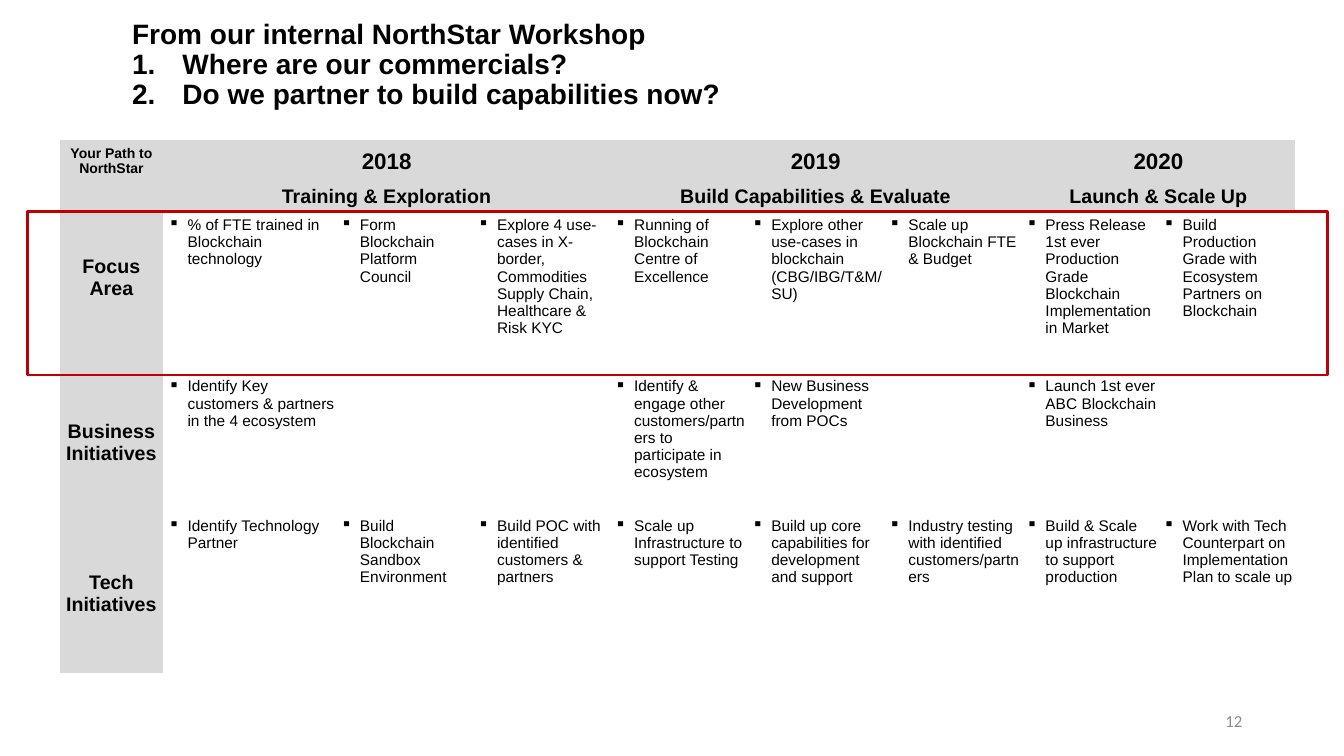
from dataclasses import dataclass

from lxml.etree import SubElement
from pptx import Presentation
from pptx.dml.color import RGBColor
from pptx.enum.shapes import MSO_SHAPE
from pptx.enum.text import MSO_ANCHOR, MSO_AUTO_SIZE, PP_ALIGN
from pptx.oxml.ns import qn
from pptx.util import Inches, Pt


@dataclass(frozen=True)
class Theme:
    font: str = "Arial"
    number_font: str = "Calibri"
    ink: RGBColor = RGBColor(0, 0, 0)
    band: RGBColor = RGBColor(0xD9, 0xD9, 0xD9)
    muted: RGBColor = RGBColor(0x8C, 0x8C, 0x8C)
    accent: RGBColor = RGBColor(0xC0, 0, 0)
    title: int = 20
    year: int = 16
    heading: int = 14
    number: int = 12
    body: int = 11
    corner: int = 10


THEME = Theme()
SLIDE_W, SLIDE_H = 13.33, 7.5

# Roadmap grid: label column, wide first column, seven equal columns
GRID_LEFT, GRID_TOP = 0.59, 1.39
COLUMNS = [1.03, 1.71] + [1.36] * 7
ROWS = [0.41, 0.3, 1.6, 1.38, 1.6]
NO_STYLE = "{2D5ABB26-0587-4C30-8999-92F81FD0307C}"

TITLE = "From our internal NorthStar Workshop"
QUESTIONS = ["Where are our commercials?", "Do we partner to build capabilities now?"]
CORNER = "Your Path to NorthStar"

# Year, theme, number of columns
PHASES = [
    ("2018", "Training & Exploration", 3),
    ("2019", "Build Capabilities & Evaluate", 3),
    ("2020", "Launch & Scale Up", 2),
]

# Row label, first row of the label, row of the items, items by column
TRACKS = [
    ("Focus Area", 1, 2, [
        "% of FTE trained in Blockchain technology",
        "Form Blockchain Platform Council",
        "Explore 4 use-cases in X-border, Commodities Supply Chain, Healthcare & Risk KYC",
        "Running of Blockchain Centre of Excellence",
        "Explore other use-cases in blockchain (CBG/IBG/T&M/SU)",
        "Scale up Blockchain FTE & Budget",
        "Press Release \n1st ever Production Grade Blockchain Implementation in Market",
        "Build Production Grade with Ecosystem Partners on Blockchain",
    ]),
    ("Business Initiatives", 3, 3, [
        "Identify Key customers & partners in the 4 ecosystem",
        None,
        None,
        "Identify & engage other customers/partners to participate in ecosystem",
        "New Business Development from POCs",
        None,
        "Launch 1st ever ABC Blockchain Business",
        None,
    ]),
    ("Tech Initiatives", 4, 4, [
        "Identify Technology Partner",
        "Build Blockchain Sandbox Environment",
        "Build POC with identified customers & partners",
        "Scale up Infrastructure to support Testing",
        "Build up core capabilities for development and support",
        "Industry testing with identified customers/partners",
        "Build & Scale up infrastructure to support production",
        "Work with Tech Counterpart on Implementation Plan to scale up",
    ]),
]


def format_paragraph(paragraph, size, bold=False, align=PP_ALIGN.LEFT,
                     color=THEME.ink, font=THEME.font):
    paragraph.alignment = align
    paragraph.font.name = font
    paragraph.font.size = Pt(size)
    paragraph.font.bold = bold
    paragraph.font.color.rgb = color


def set_bullet(paragraph, hanging, tag, **attributes):
    properties = paragraph._p.get_or_add_pPr()
    properties.set("marL", str(Inches(hanging)))
    properties.set("indent", str(-Inches(hanging)))
    # The bullet comes before the default run properties
    bullet = SubElement(properties, qn(tag), attributes)
    defaults = properties.find(qn("a:defRPr"))
    if defaults is not None:
        defaults.addprevious(bullet)


def set_margins(cell, side, top):
    cell.margin_left, cell.margin_top = Inches(side), Inches(top)
    cell.margin_right, cell.margin_bottom = Inches(0.01), 0


def fill_header(cell, text, size):
    set_margins(cell, 0.01, 0.01)
    cell.vertical_anchor = MSO_ANCHOR.MIDDLE
    cell.fill.solid()
    cell.fill.fore_color.rgb = THEME.band
    label = cell.text_frame.paragraphs[0]
    label.text = text
    format_paragraph(label, size, bold=True, align=PP_ALIGN.CENTER)


def fill_item(cell, text):
    cell.fill.background()
    if text is None:
        return
    set_margins(cell, 0.05, 0.05)
    item = cell.text_frame.paragraphs[0]
    item.text = text
    format_paragraph(item, THEME.body)
    set_bullet(item, 0.19, "a:buChar", char="▪")


def add_title(slide):
    title = slide.shapes.title
    title.left, title.top = Inches(1.21), Inches(0.02 * SLIDE_H)
    title.width, title.height = Inches(11.8), Inches(0.84)
    frame = title.text_frame
    frame.auto_size = MSO_AUTO_SIZE.NONE
    frame.word_wrap = True
    frame.vertical_anchor = MSO_ANCHOR.TOP
    frame.text = "\n".join([TITLE] + QUESTIONS)
    for index, line in enumerate(frame.paragraphs):
        format_paragraph(line, THEME.title, bold=True)
        line.line_spacing = 0.9
        line.space_before = Pt(0)
        if index:
            set_bullet(line, 0.5, "a:buAutoNum", type="arabicPeriod")


def add_roadmap(slide):
    roadmap = slide.shapes.add_table(
        len(ROWS), len(COLUMNS), Inches(GRID_LEFT), Inches(GRID_TOP),
        Inches(sum(COLUMNS)), Inches(sum(ROWS))).table
    roadmap.first_row = roadmap.horz_banding = False
    roadmap._tbl.tblPr.find(qn("a:tableStyleId")).text = NO_STYLE
    for column, width in zip(roadmap.columns, COLUMNS):
        column.width = Inches(width)
    for row, height in zip(roadmap.rows, ROWS):
        row.height = Inches(height)

    # Years and their themes
    fill_header(roadmap.cell(0, 0), CORNER, THEME.corner)
    first = 1
    for year, theme, span in PHASES:
        for row, text, size in ((0, year, THEME.year), (1, theme, THEME.heading)):
            heading = roadmap.cell(row, first)
            heading.merge(roadmap.cell(row, first + span - 1))
            fill_header(heading, text, size)
        first += span

    # Tracks and their items
    for name, label_row, item_row, items in TRACKS:
        label = roadmap.cell(label_row, 0)
        if label_row != item_row:
            label.merge(roadmap.cell(item_row, 0))
        fill_header(label, name, THEME.heading)
        for column, item in enumerate(items, start=1):
            fill_item(roadmap.cell(item_row, column), item)


def add_focus_frame(slide):
    focus = slide.shapes.add_shape(
        MSO_SHAPE.RECTANGLE, Inches(0.27), Inches(GRID_TOP + sum(ROWS[:2])),
        Inches(12.9), Inches(1.62))
    focus.shadow.inherit = False
    focus.fill.background()
    focus.line.color.rgb = THEME.accent
    focus.line.width = Pt(2)


def add_page_number(slide, number):
    box = slide.shapes.add_textbox(Inches(9.42), Inches(6.95), Inches(3), Inches(0.4))
    frame = box.text_frame
    frame.word_wrap = True
    frame.vertical_anchor = MSO_ANCHOR.MIDDLE
    frame.text = number
    format_paragraph(frame.paragraphs[0], THEME.number, align=PP_ALIGN.RIGHT,
                     color=THEME.muted, font=THEME.number_font)


def main():
    deck = Presentation()
    deck.slide_width, deck.slide_height = Inches(SLIDE_W), Inches(SLIDE_H)
    slide = deck.slides.add_slide(deck.slide_layouts[5])
    add_roadmap(slide)
    add_page_number(slide, "12")
    add_title(slide)
    add_focus_frame(slide)
    deck.save("out.pptx")


if __name__ == "__main__":
    main()
